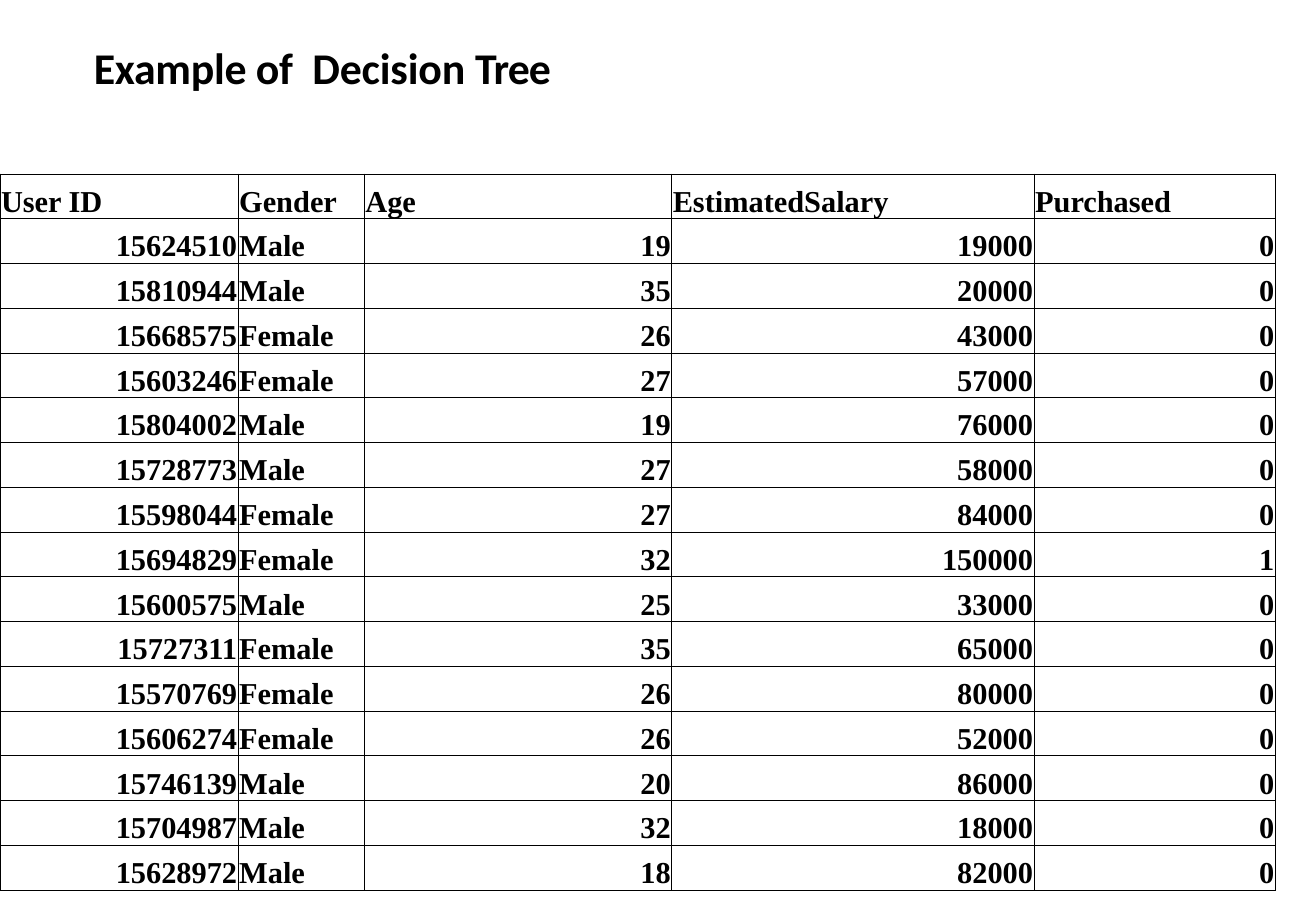
"""Build the decision tree example slide with its table of buyers."""
from dataclasses import dataclass

from lxml.etree import SubElement
from pptx import Presentation
from pptx.dml.color import RGBColor
from pptx.enum.text import MSO_ANCHOR, MSO_AUTO_SIZE, PP_ALIGN
from pptx.oxml.ns import qn
from pptx.util import Pt


@dataclass
class Theme:
    ink: str = "000000"
    head: str = "Calibri"
    body: str = "Times New Roman"
    big: float = 26
    text: float = 18
    rule: float = 0.5


theme = Theme()


def style(run, face, size):
    looks = {"name": face, "size": Pt(size), "bold": True}
    for key, value in looks.items():
        setattr(run.font, key, value)
    run.font.color.rgb = RGBColor.from_string(theme.ink)


def border(cell):
    props = cell._tc.get_or_add_tcPr()
    for side in ("lnL", "lnR", "lnT", "lnB"):
        line = SubElement(props, qn(f"a:{side}"), w=str(Pt(theme.rule)))
        fill = SubElement(line, qn("a:solidFill"))
        SubElement(fill, qn("a:srgbClr"), val=theme.ink)


deck = Presentation()
deck.slide_width, deck.slide_height = Pt(780), Pt(540)
slide = deck.slides.add_slide(deck.slide_layouts[5])

title = slide.shapes.title
place = {"left": Pt(54.7), "top": Pt(23), "width": Pt(660), "height": Pt(32.4)}
for key, value in place.items():
    setattr(title, key, value)
frame = title.text_frame
layout = {
    "margin_left": 0, "margin_right": 0, "margin_top": Pt(0.9),
    "margin_bottom": 0, "word_wrap": True,
    "auto_size": MSO_AUTO_SIZE.SHAPE_TO_FIT_TEXT,
    "vertical_anchor": MSO_ANCHOR.TOP,
}
for key, value in layout.items():
    setattr(frame, key, value)
para = frame.paragraphs[0]
para.alignment = PP_ALIGN.LEFT
para.space_before = Pt(0.9)
para._p.get_or_add_pPr().set("marL", str(Pt(0.9)))
for text, space in (("Example of  ", -20), ("Decision ", -10), ("Tree", -60)):
    run = para.add_run()
    run.text = text
    style(run, theme.head, theme.big)
    run._r.get_or_add_rPr().set("spc", str(space))

rows = [
    ("User ID", "Gender", "Age", "EstimatedSalary", "Purchased"),
    (15624510, "Male", 19, 19000, 0),
    (15810944, "Male", 35, 20000, 0),
    (15668575, "Female", 26, 43000, 0),
    (15603246, "Female", 27, 57000, 0),
    (15804002, "Male", 19, 76000, 0),
    (15728773, "Male", 27, 58000, 0),
    (15598044, "Female", 27, 84000, 0),
    (15694829, "Female", 32, 150000, 1),
    (15600575, "Male", 25, 33000, 0),
    (15727311, "Female", 35, 65000, 0),
    (15570769, "Female", 26, 80000, 0),
    (15606274, "Female", 26, 52000, 0),
    (15746139, "Male", 20, 86000, 0),
    (15704987, "Male", 32, 18000, 0),
    (15628972, "Male", 18, 82000, 0),
]
widths = (141.2, 74.8, 182.2, 214.8, 143)
high = 26.55
table = slide.shapes.add_table(
    len(rows), len(widths), Pt(0), Pt(103.1), Pt(sum(widths)), Pt(high * len(rows))
).table
table.first_row = table.horz_banding = False
for col, width in zip(table.columns, widths):
    col.width = Pt(width)

inset = {
    "margin_left": Pt(0.6), "margin_right": Pt(0.6), "margin_top": Pt(0.6),
    "margin_bottom": 0, "vertical_anchor": MSO_ANCHOR.BOTTOM,
}
for line, row in zip(table.rows, rows):
    line.height = Pt(high)
    for cell, value in zip(line.cells, row):
        for key, setting in inset.items():
            setattr(cell, key, setting)
        border(cell)
        cell.fill.background()
        para = cell.text_frame.paragraphs[0]
        para.alignment = PP_ALIGN.RIGHT if isinstance(value, int) else PP_ALIGN.LEFT
        run = para.add_run()
        run.text = str(value)
        style(run, theme.body, theme.text)

deck.save("out.pptx")
